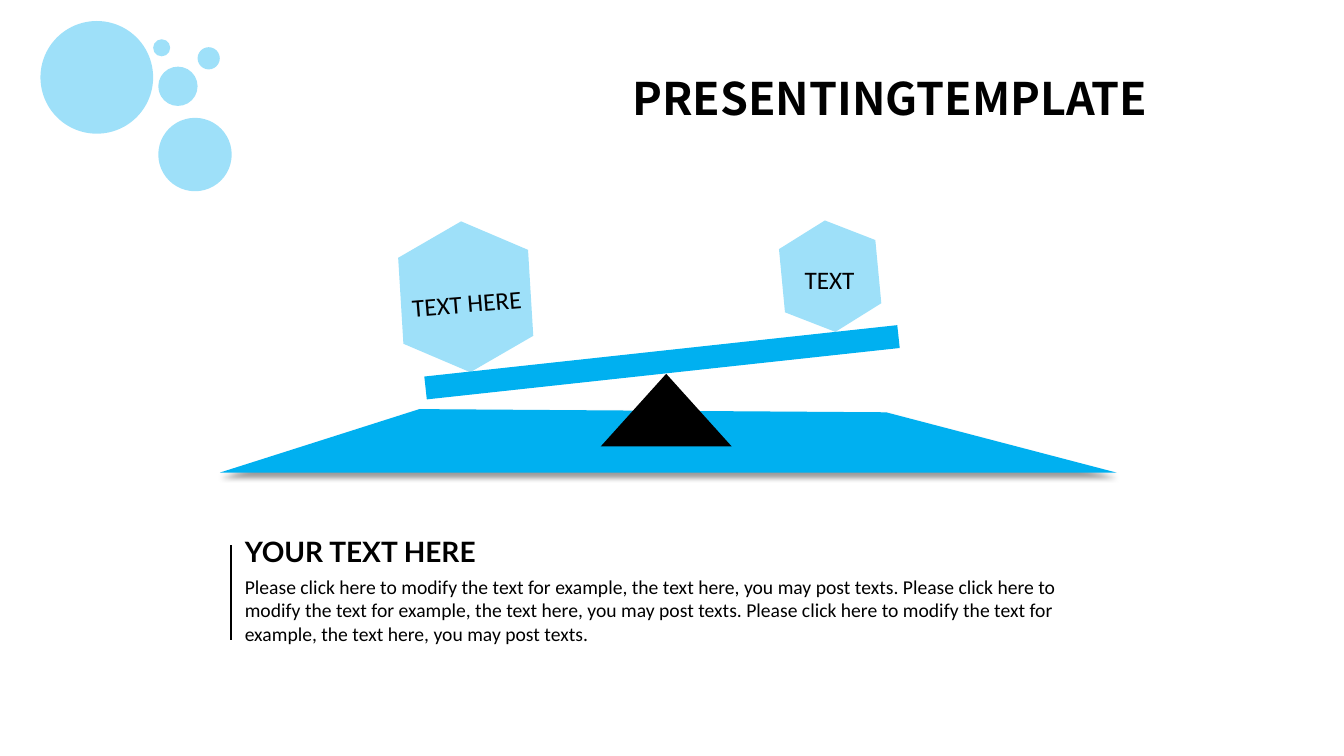
"""Build a seesaw comparison slide with two weights, a heading and a note."""
from lxml import etree
from pptx import Presentation
from pptx.dml.color import RGBColor
from pptx.enum.shapes import MSO_CONNECTOR, MSO_SHAPE as Shape
from pptx.enum.text import MSO_ANCHOR as Anchor, MSO_AUTO_SIZE as AutoSize, PP_ALIGN as Align
from pptx.oxml.ns import qn
from pptx.util import Cm, Pt

BLUE, BLACK = "00B0F0", "000000"
TITLE = "PRESENTINGTEMPLATE"
TITLE_BOX = (15.13, 1.68, 14.6, 1.55)
HEADING = "YOUR TEXT HERE"
HEADING_BOX = (5.92, 13.34, 6.78, 1.12)
SENTENCE = "Please click here to modify the text for example, the text here, you may post texts."
NOTE = " ".join([SENTENCE] * 3)
NOTE_BOX = (5.92, 14.35, 22.23, 2.06)
RULE = (5.82, 13.74, 5.82, 16.13)

BUBBLES = [
    (1.02, 0.53, 2.84),
    (3.86, 0.99, 0.43),
    (4.98, 1.19, 0.56),
    (3.99, 1.68, 0.99),
    (3.99, 2.97, 1.85),
]
GROUND = [(10.57, 10.31), (22.33, 10.39), (28.14, 11.91), (5.54, 11.91)]
PIVOT_BOX = (15.14, 9.42, 3.3, 1.83)
PLANK_BOX, PLANK_TILT = (10.69, 8.84, 11.99, 0.58), -6.2
WEIGHTS = [
    ("TEXT HERE", (9.83, 5.84, 3.81, 3.28), 86.5, (9.98, 7.16, 3.56, 0.94), -4.7),
    ("TEXT", (19.51, 5.74, 2.82, 2.44), 84.6, (19.94, 6.58, 1.93, 0.94), 0),
]


def color(value):
    return RGBColor.from_string(value)


def lengths(values):
    return [Cm(value) for value in values]


def paint(shape, fill, opacity=100):
    shape.shadow.inherit = False
    shape.fill.solid()
    shape.fill.fore_color.rgb = color(fill)
    shape.line.fill.background()
    if opacity < 100:
        tint = shape.fill._xPr.find(qn("a:solidFill"))[0]
        etree.SubElement(tint, qn("a:alpha"), val=str(opacity * 1000))


def add_block(slide, kind, box, fill=BLUE, opacity=100, rotation=0):
    shape = slide.shapes.add_shape(kind, *lengths(box))
    shape.rotation = rotation
    paint(shape, fill, opacity)


def write(shape, text, font="Calibri", size=18, bold=False, align=Align.LEFT,
          anchor=Anchor.TOP, wrap=True):
    frame = shape.text_frame
    frame.word_wrap = wrap
    frame.auto_size = AutoSize.NONE
    frame.vertical_anchor = anchor
    paragraph = frame.paragraphs[0]
    paragraph.alignment = align
    run = paragraph.add_run()
    run.text = text
    run.font.name = font
    run.font.size = Pt(size)
    run.font.bold = bold
    run.font.color.rgb = color(BLACK)


def add_ground(slide):
    start, *others = [lengths(point) for point in GROUND]
    builder = slide.shapes.build_freeform(*start)
    builder.add_line_segments(others, close=True)
    ground = builder.convert_to_shape()
    paint(ground, BLUE)
    effects = ground._element.spPr.find(qn("a:effectLst"))
    shadow = etree.SubElement(effects, qn("a:outerShdw"), blurRad=str(Pt(4)),
                              dist=str(Pt(3)), dir="5400000", algn="t", rotWithShape="0")
    tint = etree.SubElement(shadow, qn("a:srgbClr"), val=BLACK)
    etree.SubElement(tint, qn("a:alpha"), val="40000")


def add_rule(slide):
    rule = slide.shapes.add_connector(MSO_CONNECTOR.STRAIGHT, *lengths(RULE))
    rule.line.color.rgb = color(BLACK)
    rule.line.width = Pt(2)
    etree.SubElement(rule._element.spPr, qn("a:effectLst"))


def main():
    presentation = Presentation()
    presentation.slide_width, presentation.slide_height = Cm(33.87), Cm(19.05)
    slide = presentation.slides.add_slide(presentation.slide_layouts[5])

    title = slide.shapes.title
    title.left, title.top, title.width, title.height = lengths(TITLE_BOX)
    write(title, TITLE, font="Noto Sans CJK SC", size=32, bold=True,
          align=Align.CENTER, anchor=Anchor.MIDDLE)

    for left, top, diameter in BUBBLES:
        add_block(slide, Shape.OVAL, (left, top, diameter, diameter), opacity=38)

    add_ground(slide)
    add_block(slide, Shape.ISOSCELES_TRIANGLE, PIVOT_BOX, fill=BLACK)
    add_block(slide, Shape.RECTANGLE, PLANK_BOX, rotation=PLANK_TILT)

    write(slide.shapes.add_textbox(*lengths(NOTE_BOX)), NOTE, size=14)
    write(slide.shapes.add_textbox(*lengths(HEADING_BOX)), HEADING,
          font="Lato", size=20, bold=True, wrap=False)
    add_rule(slide)

    for label, box, rotation, label_box, label_tilt in WEIGHTS:
        add_block(slide, Shape.HEXAGON, box, opacity=38, rotation=rotation)
        caption = slide.shapes.add_textbox(*lengths(label_box))
        caption.rotation = label_tilt
        write(caption, label, align=Align.CENTER, anchor=Anchor.MIDDLE)

    presentation.save("out.pptx")


if __name__ == "__main__":
    main()
